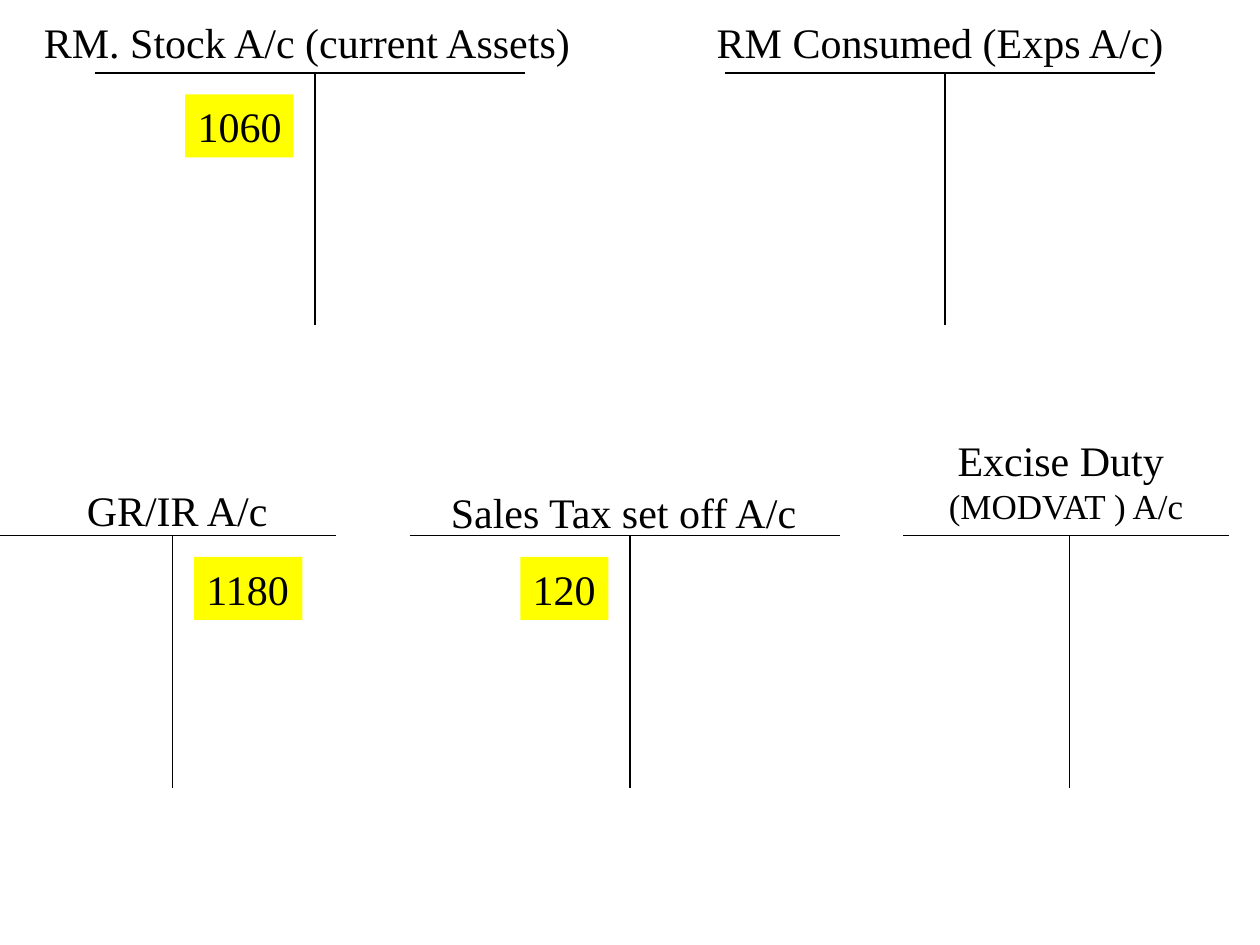
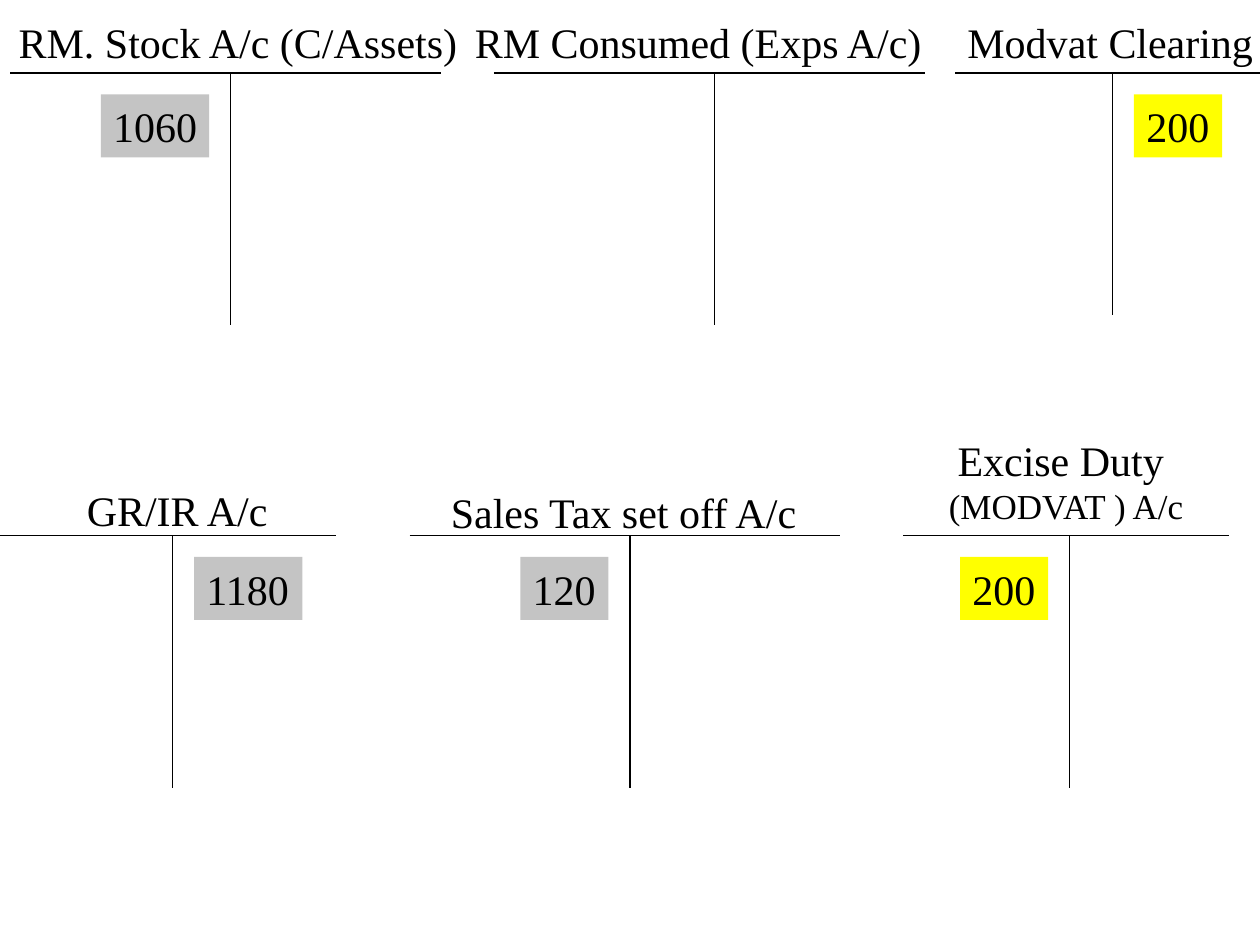
import dataclasses
import typing

import lxml.etree
import pptx
import pptx.dml.color
import pptx.enum.shapes
import pptx.enum.text
import pptx.oxml.ns
import pptx.presentation
import pptx.shapes.autoshape
import pptx.slide
import pptx.util

Inches = pptx.util.Inches
Pt = pptx.util.Pt
RGBColor = pptx.dml.color.RGBColor

BLACK = RGBColor(0x00, 0x00, 0x00)
NEW_ENTRY = RGBColor(0xFF, 0xFF, 0x00)
EARLIER_ENTRY = RGBColor(0xC4, 0xC4, 0xC4)
FONT_NAME = "Times New Roman"

UPPER_BAR = 0.58
LOWER_BAR = 4.25
ENTRY_GAP = 0.17
ROW_HEIGHT = 0.5
HEADING_FORMAT = {
    "auto_size": pptx.enum.text.MSO_AUTO_SIZE.SHAPE_TO_FIT_TEXT,
    "vertical_anchor": pptx.enum.text.MSO_ANCHOR.TOP,
    "margin_left": Inches(0.1),
    "margin_right": Inches(0.1),
    "margin_top": Inches(0.05),
    "margin_bottom": Inches(0.05),
    "word_wrap": False,
}
STACKED_FORMAT = HEADING_FORMAT | {"word_wrap": True}
ENTRY_FORMAT = HEADING_FORMAT | {
    "auto_size": pptx.enum.text.MSO_AUTO_SIZE.NONE,
    "margin_right": Inches(0),
    "word_wrap": True,
}


class Line(typing.NamedTuple):
    text: str
    size: int = 24


class Heading(typing.NamedTuple):
    lines: tuple[Line, ...]
    left: float
    width: float
    rise: float = ROW_HEIGHT
    height: float = ROW_HEIGHT


class Entry(typing.NamedTuple):
    amount: str
    fill: RGBColor
    credit: bool = False


@dataclasses.dataclass(frozen=True)
class Account:
    heading: Heading
    bar_left: float
    bar_right: float
    stem: float
    bar_top: float = UPPER_BAR
    depth: float = 2.0
    entry: Entry | None = None


def stock_account(name: str, heading_left: float, heading_width: float,
                  bar_left: float, fill: RGBColor) -> Account:
    return Account(Heading((Line(name),), heading_left, heading_width),
                   bar_left, bar_left + 3.42, bar_left + 1.75,
                   entry=Entry("1060", fill))


def consumed_account(heading_left: float, bar_left: float) -> Account:
    return Account(Heading((Line("RM Consumed (Exps A/c)"),), heading_left, 3.76),
                   bar_left, bar_left + 3.42, bar_left + 1.75)


def lower_accounts(fill: RGBColor, excise_entry: Entry | None = None) -> list[Account]:
    excise_lines = (Line("Excise Duty "), Line("(MODVAT ) A/c", 20))
    return [
        Account(Heading((Line("GR/IR A/c"),), 0.59, 1.65, 0.45),
                0, 2.67, 1.37, LOWER_BAR, entry=Entry("1180", fill, credit=True)),
        Account(Heading((Line("Sales Tax set off A/c"),), 3.48, 2.99, 0.44),
                3.25, 6.67, 5, LOWER_BAR, entry=Entry("120", fill)),
        Account(Heading(excise_lines, 7.17, 2.58, 0.85, 0.84),
                7.17, 9.75, 8.49, LOWER_BAR, entry=excise_entry),
    ]


def write_lines(box: pptx.shapes.autoshape.Shape, lines: tuple[Line, ...],
                frame_format: dict[str, typing.Any]) -> None:
    frame = box.text_frame
    for name, value in frame_format.items():
        setattr(frame, name, value)
    alignments = pptx.enum.text.PP_ALIGN
    for index, line in enumerate(lines):
        para = frame.add_paragraph() if index else frame.paragraphs[0]
        para.alignment = alignments.CENTER if len(lines) > 1 else alignments.LEFT
        span = para.add_run()
        span.text = line.text
        for name, value in {"name": FONT_NAME, "size": Pt(line.size)}.items():
            setattr(span.font, name, value)
        span.font.color.rgb = BLACK


def draw_line(page: pptx.slide.Slide, left: float, top: float,
              right: float, bottom: float) -> None:
    connector = page.shapes.add_connector(
        pptx.enum.shapes.MSO_CONNECTOR.STRAIGHT,
        Inches(left), Inches(top), Inches(right), Inches(bottom))
    connector.line.color.rgb = BLACK
    connector.line.width = Pt(0.75)
    properties = connector._element.spPr
    lxml.etree.SubElement(properties, pptx.oxml.ns.qn("a:effectLst"))


def draw_heading(page: pptx.slide.Slide, heading: Heading, bar_top: float) -> None:
    box = page.shapes.add_textbox(
        Inches(heading.left), Inches(bar_top - heading.rise),
        Inches(heading.width), Inches(heading.height))
    stacked = len(heading.lines) > 1
    write_lines(box, heading.lines, STACKED_FORMAT if stacked else HEADING_FORMAT)


def draw_entry(page: pptx.slide.Slide, entry: Entry, stem: float, bar_top: float) -> None:
    width = 0.22 + 0.16 * len(entry.amount)
    left = stem + ENTRY_GAP if entry.credit else stem - ENTRY_GAP - width
    box = page.shapes.add_shape(
        pptx.enum.shapes.MSO_SHAPE.RECTANGLE,
        Inches(left), Inches(bar_top + ENTRY_GAP), Inches(width), Inches(ROW_HEIGHT))
    box.shadow.inherit = False
    box.fill.solid()
    box.fill.fore_color.rgb = entry.fill
    box.line.fill.background()
    write_lines(box, (Line(entry.amount),), ENTRY_FORMAT)


def draw_account(page: pptx.slide.Slide, account: Account) -> None:
    top = account.bar_top
    draw_line(page, account.bar_left, top, account.bar_right, top)
    draw_line(page, account.stem, top, account.stem, top + account.depth)
    draw_heading(page, account.heading, top)
    if account.entry:
        draw_entry(page, account.entry, account.stem, top)


def add_page(deck: pptx.presentation.Presentation, accounts: list[Account]) -> None:
    page = deck.slides.add_slide(deck.slide_layouts[6])
    for account in accounts:
        draw_account(page, account)


def main() -> None:
    deck = pptx.Presentation()
    deck.slide_width = Inches(10)
    deck.slide_height = Inches(7.5)
    add_page(deck, [
        stock_account("RM. Stock A/c (current Assets)", 0.25, 4.41, 0.75, NEW_ENTRY),
        consumed_account(5.59, 5.75),
        *lower_accounts(NEW_ENTRY),
    ])
    add_page(deck, [
        stock_account("RM. Stock A/c (C/Assets)", 0.05, 3.7, 0.08, EARLIER_ENTRY),
        consumed_account(3.67, 3.92),
        *lower_accounts(EARLIER_ENTRY, Entry("200", NEW_ENTRY)),
        Account(Heading((Line("Modvat Clearing"),), 7.58, 2.47), 7.58, 10, 8.83,
                depth=1.92, entry=Entry("200", NEW_ENTRY, credit=True)),
    ])
    deck.save("out.pptx")


if __name__ == "__main__":
    main()
